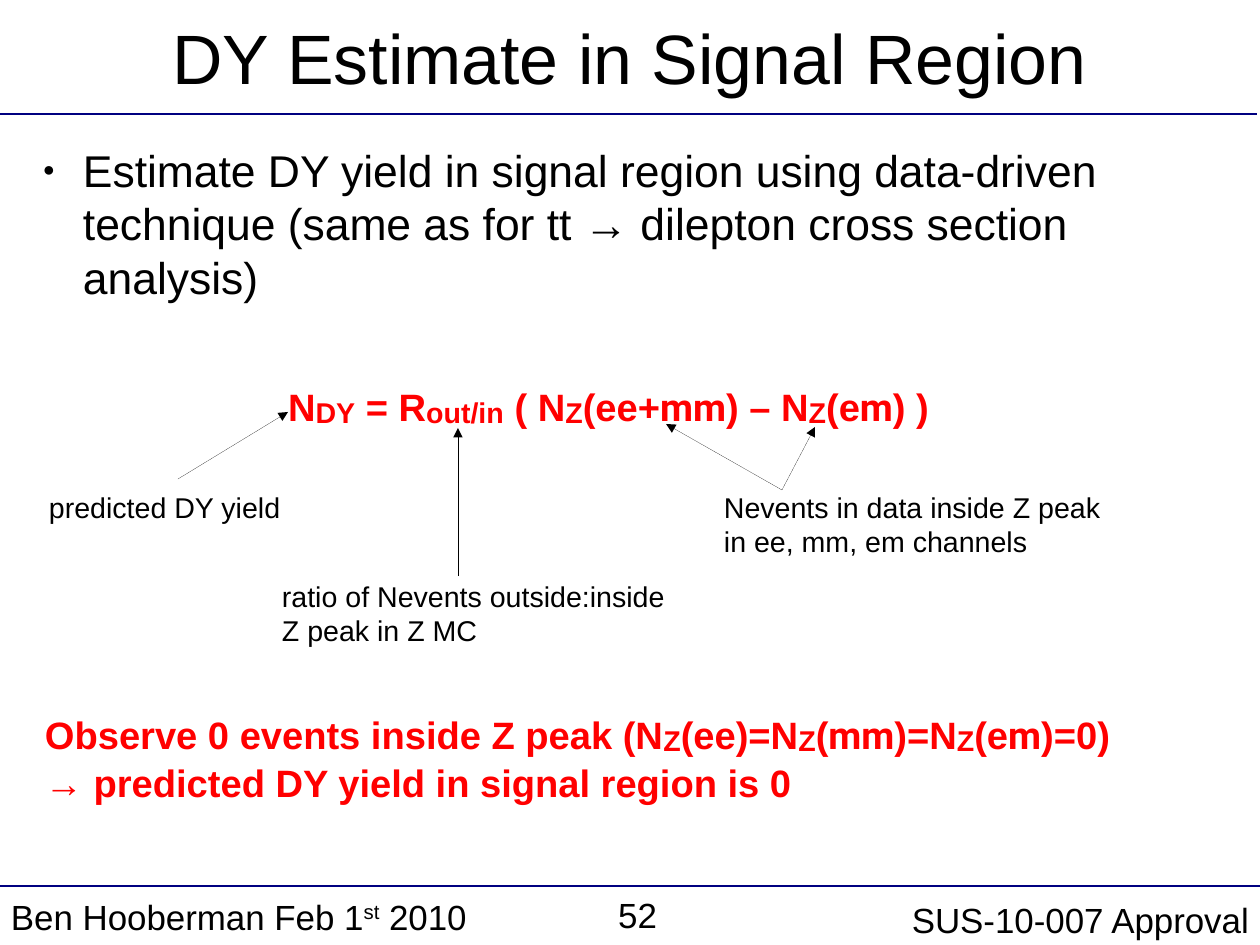
import dataclasses
import lxml.etree
import pptx
import pptx.dml.color
import pptx.enum.shapes
import pptx.enum.text
import pptx.oxml.ns
import pptx.util

PX = 8000
ALIGN = pptx.enum.text.PP_ALIGN
ANCHOR = pptx.enum.text.MSO_ANCHOR


@dataclasses.dataclass(frozen=True)
class Theme:
    ink: str = "000000"
    red: str = "FF0000"
    navy: str = "000080"
    font: str = "Arial"
    alt: str = "Roboto"
    title: int = 44
    body: int = 28
    math: int = 24
    low: int = 31
    foot: int = 22
    note: int = 18
    rule: float = 1.45


def add(node, tag, **attrs):
    return lxml.etree.SubElement(node, pptx.oxml.ns.qn(tag), **attrs)


class Page:
    def __init__(self, deck, theme):
        self.theme = theme
        self.slide = deck.slides.add_slide(deck.slide_layouts[5])

    def fill(self, frame, runs, size, color, bold=False, align=ALIGN.LEFT,
             inset=(11, 6), anchor=ANCHOR.TOP, bullet=False):
        frame.word_wrap = True
        frame.auto_size = pptx.enum.text.MSO_AUTO_SIZE.NONE
        frame.vertical_anchor = anchor
        frame.margin_left = frame.margin_right = inset[0] * PX
        frame.margin_top = frame.margin_bottom = inset[1] * PX
        para = frame.paragraphs[0]
        para.alignment = align
        if bullet:
            self.mark(para)
        for text, kind in runs:
            run = para.add_run()
            run.text = text
            font = run.font
            font.name = self.theme.alt if kind == "alt" else self.theme.font
            font.size = pptx.util.Pt(self.theme.low if kind == "low" else size)
            font.bold = bold
            font.color.rgb = pptx.dml.color.RGBColor.from_string(color)
            shift = {"low": "-5000", "high": "33000"}.get(kind)
            if shift:
                font._element.set("baseline", shift)

    def mark(self, para):
        props = para._p.get_or_add_pPr()
        props.set("marL", str(54 * PX))
        props.set("indent", str(-40 * PX))
        tint = add(props, "a:buClr")
        add(tint, "a:srgbClr", val=self.theme.ink)
        add(props, "a:buSzPct", val="45000")
        add(props, "a:buFont", typeface=self.theme.font)
        add(props, "a:buChar", char="●")

    def title(self, text, *box):
        shape = self.slide.shapes.title
        shape.left, shape.top, shape.width, shape.height = [n * PX for n in box]
        self.fill(shape.text_frame, [(text, "")], self.theme.title,
                  self.theme.ink, align=ALIGN.CENTER, inset=(0, 0),
                  anchor=ANCHOR.MIDDLE)

    def text(self, box, runs, size, color, **style):
        shape = self.slide.shapes.add_textbox(*[n * PX for n in box])
        self.fill(shape.text_frame, runs, size, color, **style)

    def line(self, start, end, color, width, arrow=False):
        ends = [n * PX for n in (*start, *end)]
        kind = pptx.enum.shapes.MSO_CONNECTOR.STRAIGHT
        shape = self.slide.shapes.add_connector(kind, *ends)
        shape.line.color.rgb = pptx.dml.color.RGBColor.from_string(color)
        stroke = shape._element.spPr.find(pptx.oxml.ns.qn("a:ln"))
        stroke.set("w", str(int(pptx.util.Pt(width))))
        if arrow:
            add(stroke, "a:tailEnd", type="triangle")
        add(shape._element.spPr, "a:effectLst")


def main():
    deck = pptx.Presentation()
    deck.slide_width, deck.slide_height = 1260 * PX, 945 * PX
    theme = Theme()
    page = Page(deck, theme)

    page.line((-2, 114), (1257, 114), theme.navy, theme.rule)
    page.line((0, 886), (1260, 886), theme.navy, theme.rule)
    page.title("DY Estimate in Signal Region", 0, 0, 1260, 114)

    page.text((29, 143, 1200, 714), [
        ("Estimate DY yield in signal region using data-driven technique "
         "(same as for tt → dilepton cross section analysis)", ""),
    ], theme.body, theme.ink, inset=(0, 0), bullet=True)

    page.text((192, 366, 833, 69), [
        ("N", ""), ("DY", "low"), (" = R", ""), ("out/in", "low"),
        (" ( N", ""), ("Z", "low"), ("(ee+", ""), ("mm", "alt"),
        (") – N", ""), ("Z", "low"), ("(e", ""), ("m", "alt"), (") )", ""),
    ], theme.math, theme.red, bold=True, align=ALIGN.CENTER)

    notes = [
        ((38, 484, 346, 47), "predicted DY yield"),
        ((271, 573, 414, 82), "ratio of Nevents outside:inside Z peak in Z MC"),
        ((713, 484, 415, 82),
         "Nevents in data inside Z peak in ee, mm, em channels"),
    ]
    for box, words in notes:
        page.text(box, [(words, "")], theme.note, theme.ink)

    fork = (782, 490)
    arrows = [
        ((178, 479), (288, 412)),
        ((458, 576), (458, 428)),
        (fork, (666, 424)),
        (fork, (815, 427)),
    ]
    for start, end in arrows:
        page.line(start, end, theme.ink, 0, arrow=True)

    page.text((34, 694, 1132, 118), [
        ("Observe 0 events inside Z peak (N", ""), ("Z", "low"),
        ("(ee)=N", ""), ("Z", "low"), ("(", ""), ("mm", "alt"),
        (")=N", ""), ("Z", "low"), ("(e", ""), ("m", "alt"),
        (")=0) → predicted DY yield in signal region is 0", ""),
    ], theme.math, theme.red, bold=True)

    page.text((0, 890, 886, 55), [
        ("Ben Hooberman Feb 1", ""), ("st", "high"), (" 2010", ""),
    ], theme.foot, theme.ink)
    page.text((363, 894, 294, 51), [("52", "")], theme.foot, theme.ink,
              align=ALIGN.RIGHT, inset=(0, 0))
    page.text((794, 893, 466, 52), [("SUS-10-007 Approval", "")],
              theme.foot, theme.ink, align=ALIGN.RIGHT)

    deck.save("out.pptx")


if __name__ == "__main__":
    main()
